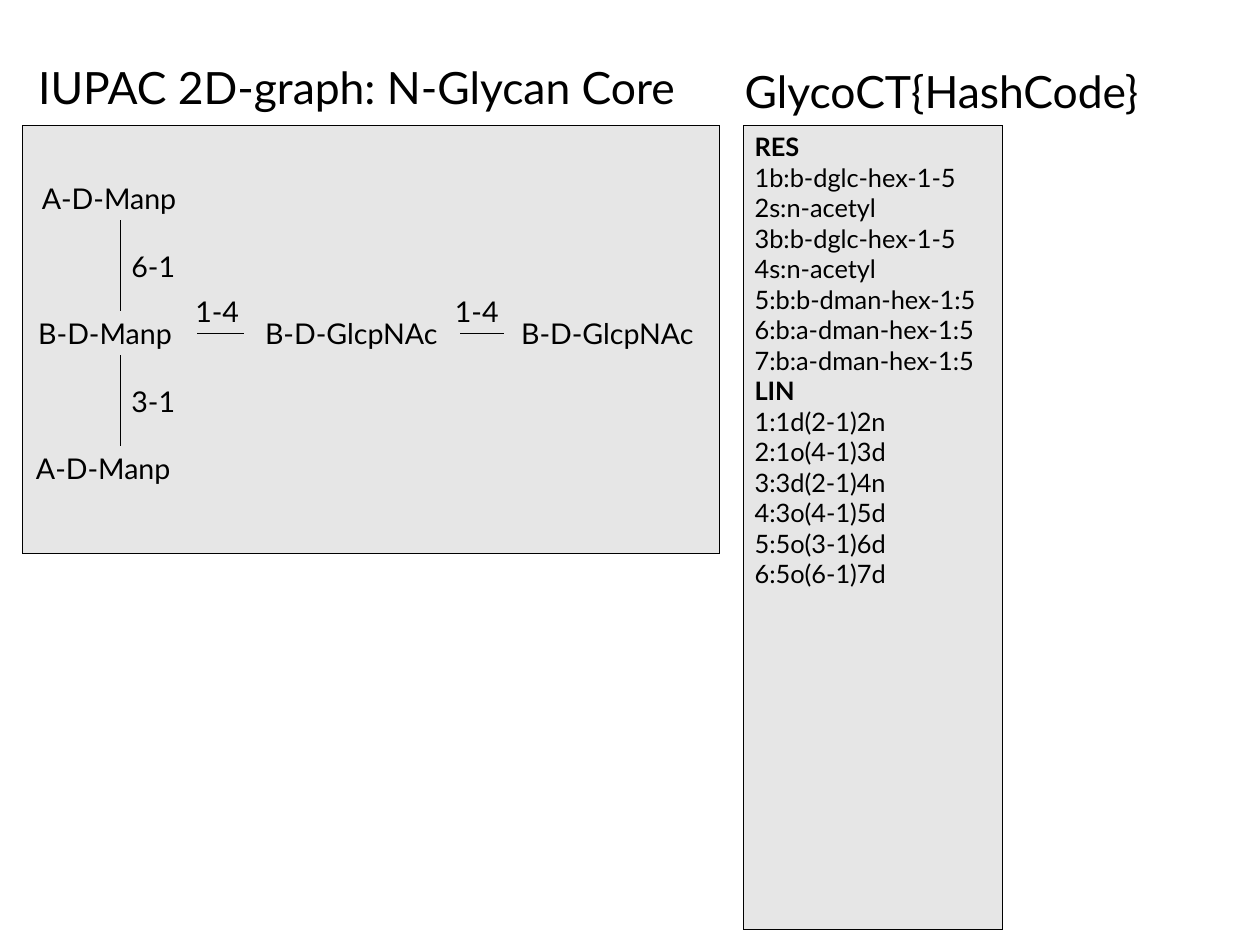
from pptx import Presentation
from pptx.dml.color import RGBColor
from pptx.enum.shapes import MSO_CONNECTOR, MSO_SHAPE
from pptx.enum.text import MSO_ANCHOR, PP_ALIGN
from pptx.oxml.ns import qn
from pptx.util import Pt
from lxml import etree

PX = 3600
HAIRLINE = Pt(0.01)
BLACK = RGBColor(0x00, 0x00, 0x00)
PANEL_GREY = RGBColor(0xE6, 0xE6, 0xE6)
RECT, STRAIGHT = MSO_SHAPE.RECTANGLE, MSO_CONNECTOR.STRAIGHT
TOP, LEFT = MSO_ANCHOR.TOP, PP_ALIGN.LEFT
RIGHT_SIDE = 3

ROW_PITCH, NODE_H = 300, 100
MANNOSES = [("A-D-Manp", 18), ("B-D-Manp", 10), ("A-D-Manp", 5)]
BRANCH_BONDS = ["6-1", "3-1"]
RESIDUES = ["RES", "1b:b-dglc-hex-1-5", "2s:n-acetyl", "3b:b-dglc-hex-1-5",
            "4s:n-acetyl", "5:b:b-dman-hex-1:5", "6:b:a-dman-hex-1:5",
            "7:b:a-dman-hex-1:5"]
LINKAGES = ["LIN", "1:1d(2-1)2n", "2:1o(4-1)3d", "3:3d(2-1)4n",
            "4:3o(4-1)5d", "5:5o(3-1)6d", "6:5o(6-1)7d"]


def emu(*lengths):
    """Turn px lengths into EMU."""
    return [n * PX for n in lengths]


def write(tf, lines, size, headings=()):
    """Write one left-aligned paragraph per line."""
    tf.word_wrap = True
    tf.vertical_anchor = TOP
    for i, line in enumerate(lines):
        p = tf.paragraphs[0] if i == 0 else tf.add_paragraph()
        p.alignment = LEFT
        r = p.add_run()
        r.text = line
        style = {"name": "Lato", "size": Pt(size), "bold": line in headings}
        for name, value in style.items():
            setattr(r.font, name, value)
        r.font.color.rgb = BLACK


def add_label(slide, text, x, y, w, h=NODE_H, size=18):
    """Add a one-line text box."""
    sp = slide.shapes.add_textbox(*emu(x, y, w, h))
    write(sp.text_frame, [text], size)
    return sp


def add_panel(slide, x, y, w, h):
    """Add a grey panel with a hairline border."""
    sp = slide.shapes.add_shape(RECT, *emu(x, y, w, h))
    sp.shadow.inherit = False
    sp.fill.solid()
    sp.fill.fore_color.rgb = PANEL_GREY
    sp.line.color.rgb = BLACK
    sp.line.width = HAIRLINE
    return sp


def add_bond(slide, x1, y1, x2, y2):
    """Add a hairline bond."""
    line = slide.shapes.add_connector(STRAIGHT, *emu(x1, y1, x2, y2))
    line.line.color.rgb = BLACK
    line.line.width = HAIRLINE
    etree.SubElement(line._element.spPr, qn("a:effectLst"))
    return line


def add_glycan_graph(slide, x, y, w, h):
    """Draw the glycan core in its panel."""
    add_panel(slide, x, y, w, h)
    top = y + 110
    core_y = top + ROW_PITCH
    bond_y = core_y + NODE_H // 2
    for i, (name, dx) in enumerate(MANNOSES):
        add_label(slide, name, x + dx, top + i * ROW_PITCH, 363)
    for i, bond in enumerate(BRANCH_BONDS):
        row_y = top + i * ROW_PITCH
        add_bond(slide, x + 217, row_y + ROW_PITCH, x + 217, row_y + NODE_H)
        add_label(slide, bond, x + 217, row_y + ROW_PITCH // 2, 155)
    inner, _ = [add_label(slide, "B-D-GlcpNAc", x + dx, core_y, 459)
                for dx in (514, 1083)]
    add_bond(slide, x + 389, bond_y, x + 491, bond_y)
    outer_bond = add_bond(slide, x + 973, bond_y, x + 1070, bond_y)
    outer_bond.begin_connect(inner, RIGHT_SIDE)
    for dx in (359, 936):
        add_label(slide, "1-4", x + dx, core_y - 50, 155)


def add_code_listing(slide, x, y, w, h):
    """Draw the residue and linkage listing."""
    sp = add_panel(slide, x, y, w, h)
    write(sp.text_frame, RESIDUES + LINKAGES, 16, ("RES", "LIN"))


def main():
    """Build the slide."""
    prs = Presentation()
    prs.slide_width, prs.slide_height = emu(2800, 2100)
    slide = prs.slides.add_slide(prs.slide_layouts[6])
    add_label(slide, "IUPAC 2D-graph: N-Glycan Core", 60, 120, 1618, 140, 28)
    add_label(slide, "GlycoCT{HashCode}", 1630, 130, 1082, 140, 28)
    add_glycan_graph(slide, 50, 280, 1550, 950)
    add_code_listing(slide, 1652, 280, 577, 1786)
    prs.save("out.pptx")


if __name__ == "__main__":
    main()
